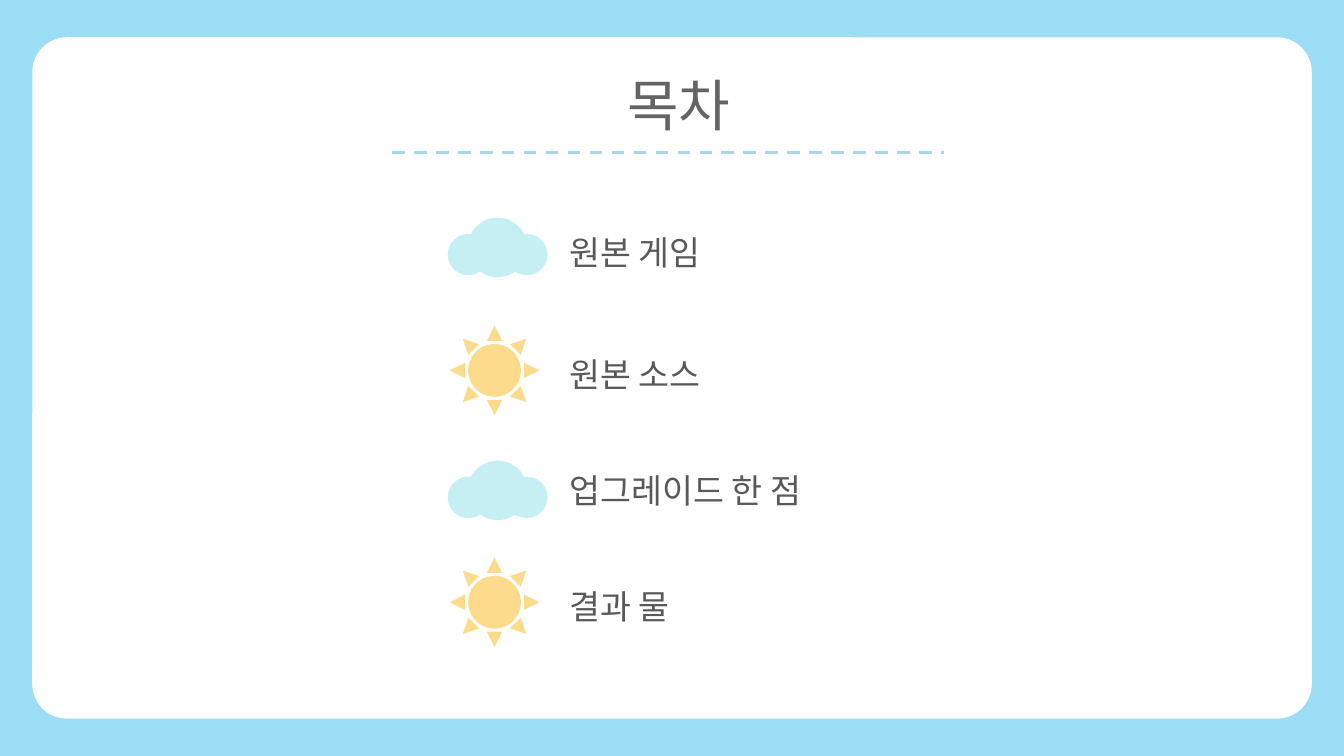
from dataclasses import dataclass

from lxml.etree import SubElement
from pptx import Presentation
from pptx.dml.color import RGBColor
from pptx.enum.dml import MSO_LINE_DASH_STYLE as Dash
from pptx.enum.shapes import MSO_CONNECTOR as Connector, MSO_SHAPE as Preset
from pptx.enum.text import MSO_ANCHOR as Anchor, MSO_AUTO_SIZE as AutoSize, PP_ALIGN as Align
from pptx.oxml.ns import qn
from pptx.shapes.autoshape import Shape
from pptx.shapes.shapetree import GroupShapes, SlideShapes
from pptx.util import Inches, Pt

FONT = "Noto Sans CJK KR"
COLORS = {
    "sky": "9CDEF6",
    "panel": "FFFFFF",
    "heading": "646464",
    "rule": "A8D6EA",
    "entry": "595959",
    "cloud": "C5EFF3",
    "sun": "FCDC8C",
}


@dataclass(frozen=True)
class Box:
    left: float
    top: float
    width: float
    height: float


@dataclass(frozen=True)
class Entry:
    label: str
    label_top: float
    icon: str
    icon_top: float


@dataclass(frozen=True)
class Puff:
    left: float
    drop: float
    size: float


ENTRIES = (
    Entry("원본 게임", 2.25, "cloud", 2.16),
    Entry("원본 소스", 3.46, "sun", 3.23),
    Entry("업그레이드 한 점", 4.61, "cloud", 4.57),
    Entry("결과 물", 5.76, "sun", 5.53),
)
PUFFS = (Puff(4.64, 0, 0.59), Puff(4.44, 0.16, 0.41), Puff(5.02, 0.16, 0.41))


def color(name: str) -> RGBColor:
    return RGBColor.from_string(COLORS[name])


def add_filled(
    shapes: SlideShapes | GroupShapes, preset: Preset, box: Box, fill: str, adjustment: float | None = None
) -> Shape:
    filled = shapes.add_shape(
        preset, Inches(box.left), Inches(box.top), Inches(box.width), Inches(box.height)
    )
    filled.shadow.inherit = False
    filled.fill.solid()
    filled.fill.fore_color.rgb = color(fill)
    filled.line.fill.background()
    if adjustment is not None:
        filled.adjustments[0] = adjustment
    return filled


def write(holder: Shape, wording: str, size: int, ink: str) -> None:
    frame = holder.text_frame
    frame.word_wrap = True
    frame.auto_size = AutoSize.NONE
    frame.vertical_anchor = Anchor.TOP
    paragraph = frame.paragraphs[0]
    paragraph.alignment = Align.LEFT
    run = paragraph.add_run()
    run.text = wording
    run.font.size = Pt(size)
    run.font.name = FONT
    run.font.color.rgb = color(ink)
    SubElement(run._r.get_or_add_rPr(), qn("a:ea"), typeface=FONT)


def add_cloud(shapes: SlideShapes, top: float) -> None:
    cloud = shapes.add_group_shape()
    for puff in PUFFS:
        box = Box(puff.left, top + puff.drop, puff.size, puff.size)
        add_filled(cloud.shapes, Preset.OVAL, box, "cloud")


def add_sun(shapes: SlideShapes, top: float) -> None:
    add_filled(shapes, Preset.SUN, Box(4.46, top, 0.89, 0.89), "sun", 0.206)


def add_heading_rule(shapes: SlideShapes) -> None:
    rule = shapes.add_connector(
        Connector.STRAIGHT, Inches(3.89), Inches(1.51), Inches(9.36), Inches(1.51)
    )
    rule.line.color.rgb = color("rule")
    rule.line.width = Pt(2.25)
    rule.line.dash_style = Dash.DASH
    SubElement(rule._element.spPr, qn("a:effectLst"))


def add_entry(shapes: SlideShapes, entry: Entry) -> None:
    label = shapes.add_textbox(Inches(5.55), Inches(entry.label_top), Inches(3.48), Inches(0.5))
    write(label, entry.label, 24, "entry")
    draw_icon = {"cloud": add_cloud, "sun": add_sun}[entry.icon]
    draw_icon(shapes, entry.icon_top)


def main() -> None:
    deck = Presentation()
    deck.slide_width, deck.slide_height = Inches(13.33), Inches(7.5)
    slide = deck.slides.add_slide(deck.slide_layouts.get_by_name("Title Only"))
    slide.background.fill.solid()
    slide.background.fill.fore_color.rgb = color("sky")

    heading = slide.shapes.title
    heading.left, heading.top = Inches(6.12), Inches(0.65)
    heading.width, heading.height = Inches(1.38), Inches(0.77)
    write(heading, "목차", 40, "heading")

    panel = add_filled(
        slide.shapes, Preset.ROUNDED_RECTANGLE, Box(0.32, 0.37, 12.69, 6.76), "panel", 0.051
    )
    heading.element.addprevious(panel.element)

    add_heading_rule(slide.shapes)
    for entry in ENTRIES:
        add_entry(slide.shapes, entry)
    deck.save("out.pptx")


if __name__ == "__main__":
    main()
